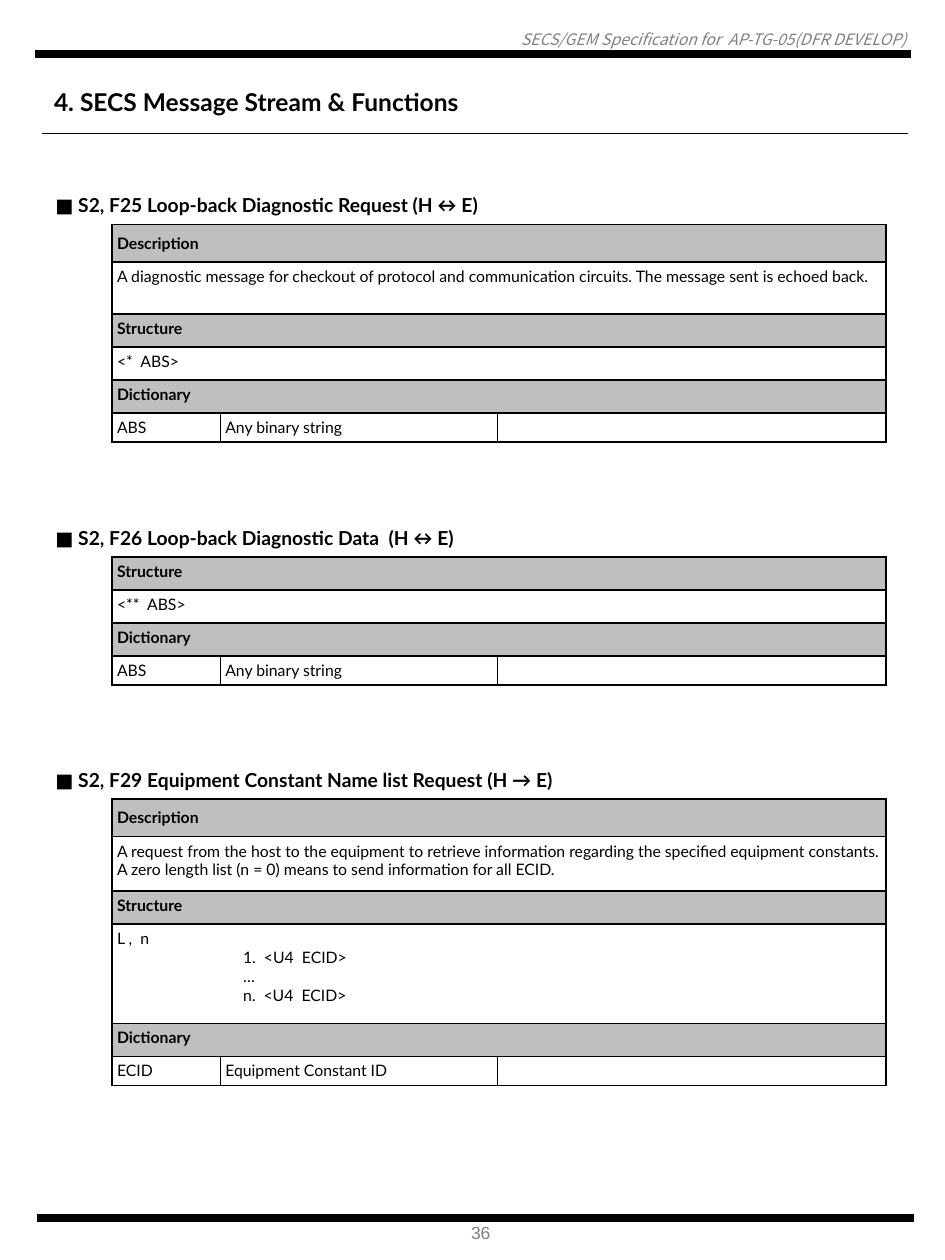
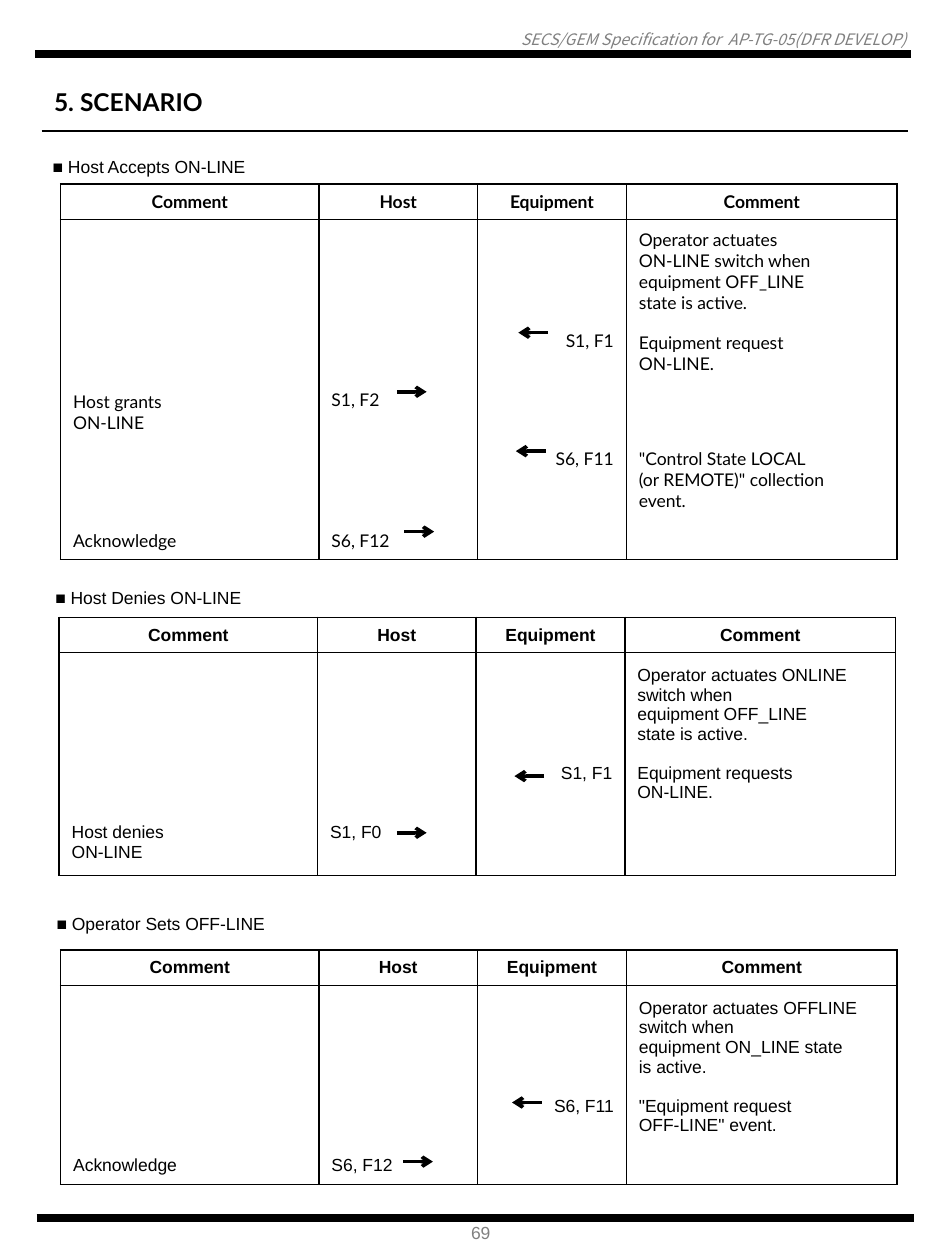
from dataclasses import dataclass

import lxml.etree
import pptx
import pptx.dml.color
import pptx.enum.shapes
import pptx.enum.text
import pptx.oxml.ns
import pptx.util

Pt = pptx.util.Pt
qn = pptx.oxml.ns.qn
ALIGN = pptx.enum.text.PP_ALIGN
ANCHOR = pptx.enum.text.MSO_ANCHOR
SIDES = "LRTB"
MARGINS = ("margin_left", "margin_right", "margin_top", "margin_bottom")


@dataclass(frozen=True)
class Theme:
    # Colours
    black: str = "000000"
    white: str = "FFFFFF"
    grey: str = "808080"
    band: str = "BFBFBF"
    # Fonts
    main: str = "Lato"
    plain: str = "Arial"
    header: str = "Noto Sans CJK KR"
    # Type sizes
    title: float = 14
    heading: float = 11
    body: float = 10
    small: float = 9


def rgb(value):
    return pptx.dml.color.RGBColor.from_string(value)


def set_all(target, values):
    for name, value in values.items():
        setattr(target, name, value)


class Deck:
    def __init__(self, theme):
        self.t = theme
        self.prs = pptx.Presentation()
        self.prs.slide_width, self.prs.slide_height = Pt(540), Pt(720)
        self.s = None

    # Text
    def add_lines(self, tf, text, size, font, color=None, align=ALIGN.LEFT, **style):
        for i, line in enumerate(text.split("\n")):
            p = tf.paragraphs[0] if i == 0 else tf.add_paragraph()
            p.alignment = align
            if "\t" in line:
                tabs = lxml.etree.SubElement(p._p.get_or_add_pPr(), qn("a:tabLst"))
                lxml.etree.SubElement(tabs, qn("a:tab"), pos=str(Pt(72)), algn="l")
            if not line:
                lxml.etree.SubElement(p._p, qn("a:endParaRPr"), sz=str(int(size * 100)))
                continue
            r = p.add_run()
            r.text = line
            set_all(r.font, {"size": Pt(size), "name": font, **style})
            r.font.color.rgb = rgb(color or self.t.black)

    def text(self, x, y, w, h, text, size, font, wrap=True, inset=True, **style):
        tf = self.s.shapes.add_textbox(Pt(x), Pt(y), Pt(w), Pt(h)).text_frame
        set_all(tf, {"word_wrap": wrap,
                     "auto_size": pptx.enum.text.MSO_AUTO_SIZE.SHAPE_TO_FIT_TEXT})
        if not inset:
            set_all(tf, dict.fromkeys(MARGINS, 0))
        self.add_lines(tf, text, size, font, **style)

    # Lines and arrows
    def line(self, x1, x2, y, width, arrow=False):
        kind = pptx.enum.shapes.MSO_CONNECTOR.STRAIGHT
        sp = self.s.shapes.add_connector(kind, Pt(x1), Pt(y), Pt(x2), Pt(y))
        sp.line.width = Pt(width)
        sp.line.color.rgb = rgb(self.t.black)
        if arrow:
            lxml.etree.SubElement(sp.line._ln, qn("a:tailEnd"), type="arrow")
        lxml.etree.SubElement(sp._element.spPr, qn("a:effectLst"))

    def arrow(self, x, y, direction):
        self.line(x, x + 17 * direction, y, 2, arrow=True)

    # Tables
    def table(self, x, y, cols, rows):
        frame = self.s.shapes.add_table(len(rows), len(cols), Pt(x), Pt(y),
                                        Pt(sum(cols)), Pt(sum(rows)))
        table = frame.table
        set_all(table, {"first_row": False, "horz_banding": False})
        for col, width in zip(table.columns, cols):
            col.width = Pt(width)
        for row, height in zip(table.rows, rows):
            row.height = Pt(height)
        return table

    def cell(self, cell, text, size, font, borders, fill=None, inset=None,
             middle=False, **style):
        """Fill one cell; borders maps a side to (colour, width)."""
        cell.vertical_anchor = ANCHOR.MIDDLE if middle else ANCHOR.TOP
        if inset is not None:
            set_all(cell, dict.fromkeys(MARGINS, Pt(inset)))
        if fill:
            cell.fill.solid()
            cell.fill.fore_color.rgb = rgb(fill)
        else:
            cell.fill.background()
        tcPr = cell._tc.get_or_add_tcPr()
        for i, side in enumerate(SIDES):
            color, width = borders.get(side, (None, 0))
            ln = lxml.etree.Element(qn(f"a:ln{side}"), w=str(Pt(width)))
            if color:
                paint = lxml.etree.SubElement(ln, qn("a:solidFill"))
                lxml.etree.SubElement(paint, qn("a:srgbClr"), val=color)
            else:
                lxml.etree.SubElement(ln, qn("a:noFill"))
            tcPr.insert(i, ln)
        self.add_lines(cell.text_frame, text, size, font, **style)

    def message(self, y, heading, sections, entry):
        """Message table: heading, banded sections, then a dictionary entry."""
        t = self.t
        black = dict.fromkeys(SIDES, (t.black, 1))
        white = dict.fromkeys(SIDES, (t.white, 0.75))
        gutter = {**white, "R": (t.black, 1)}
        rows = [(21.6, heading)]
        for name, height, body in sections:
            rows += [(21.6 if name == "Description" else 18.9, name), (height, body)]
        rows += [(18.9, "Dictionary"), (16.6, None)]
        table = self.table(28.8, y, [35.3, 61.9, 158.4, 221.8], [h for h, _ in rows])
        last = len(rows) - 1
        for i, (_, label) in enumerate(rows):
            banded = i % 2 == 1
            texts = [heading, "", "", ""] if i == 0 else ["", label, "", ""]
            if i == last:
                texts = ["", *entry, ""]
            for j, text in enumerate(texts):
                borders = white if i == 0 else gutter if j == 0 else black
                self.cell(table.cell(i, j), text, t.small if i else t.heading, t.main,
                          borders, fill=t.band if banded and j else None, inset=2.8,
                          middle=i == 0 or label == "Description",
                          bold=i == 0 or banded)
            if i < last:
                table.cell(i, 0 if i == 0 else 1).merge(table.cell(i, 3))
        table.cell(last - 1, 0).merge(table.cell(last, 0))

    def scenario(self, x, y, font, body, middle):
        """Scenario table: body rows are a height and four cell texts."""
        t = self.t
        edge = (t.black, 1)
        heads = (20.2, "Comment", "Host", "Equipment", "Comment")
        rows = [heads, *body]
        table = self.table(x, y, [147.6, 90.7, 85, 154.8], [row[0] for row in rows])
        for i, (_, *texts) in enumerate(rows):
            sides = "LR" + "T" * (i < 2) + "B" * (i in (0, len(body)))
            for j, text in enumerate(texts):
                align = (ALIGN.CENTER if i == 0 else
                         ALIGN.RIGHT if j == 2 else ALIGN.LEFT)
                self.cell(table.cell(i, j), text, t.body, font,
                          dict.fromkeys(sides, edge), align=align, bold=i == 0,
                          middle=i == 0 or (i, j) in middle)

    # Page frame shared by every slide
    def page(self, title, title_width, rule_y, number):
        t = self.t
        self.s = self.prs.slides.add_slide(self.prs.slide_layouts[6])
        self.text(3.6, 17.3, 514.1, 10.8,
                  "SECS/GEM Specification for  AP-TG-05(DFR DEVELOP)", t.small, t.header,
                  inset=False, color=t.grey, align=ALIGN.RIGHT, italic=True)
        self.line(20.2, 520.6, 31, 4.75)
        self.line(20.9, 522, 696.2, 4.75)
        self.text(262.1, 694.8, 26.6, 19.4, number, t.body, t.plain,
                  wrap=False, color=t.grey)
        self.text(23.8, 46.1, title_width, 24.5, title, t.title, t.main,
                  wrap=False, bold=True)
        self.line(23.8, 519.1, rule_y, 0.75)

    def caption(self, x, y, text):
        self.text(x, y, 461, 19.4, text, self.t.body, self.t.plain)


def build_messages(d):
    d.page("4. SECS Message Stream & Functions", 277.9, 76.3, "36")
    d.message(106.6, "■ S2, F25 Loop-back Diagnostic Request (H ↔ E)", [
        ("Description", 29.5, "A diagnostic message for checkout of protocol and "
         "communication circuits. The message sent is echoed back."),
        ("Structure", 18.9, "<*  ABS>"),
    ], ("ABS", "Any binary string"))
    d.message(296.6, "■ S2, F26 Loop-back Diagnostic Data  (H ↔ E)", [
        ("Structure", 18.9, "<**  ABS>"),
    ], ("ABS", "Any binary string"))
    d.message(434.9, "■ S2, F29 Equipment Constant Name list Request (H → E)", [
        ("Description", 31, "A request from the host to the equipment to retrieve "
         "information regarding the specified equipment constants. A zero length list "
         "(n = 0) means to send information for all ECID."),
        ("Structure", 56.9, "L ,  n\n\t1.  <U4  ECID>\n\t…\n\tn.  <U4  ECID>"),
    ], ("ECID", "Equipment Constant ID"))


def build_scenarios(d):
    t = d.t
    d.page("5. SCENARIO", 108, 74.9, "69")

    # Host accepts
    d.caption(23, 85.7, "■ Host Accepts ON-LINE")
    d.scenario(34.6, 105.1, t.main, [
        (59.8, "", "", "", "Operator actuates\nON-LINE switch when\n"
         "equipment OFF_LINE\nstate is active."),
        (33.8, "", "", "S1, F1", "Equipment request\nON-LINE."),
        (33.8, "Host grants\nON-LINE", "S1, F2", "", ""),
        (46.8, "", "", "S6, F11",
         '"Control State LOCAL\n(or REMOTE)" collection\nevent.'),
        (20.2, "Acknowledge", "S6, F12", "", ""),
    ], {(1, 3), (2, 3), (3, 0)})

    # Host denies
    d.caption(24.5, 331.9, "■ Host Denies ON-LINE")
    d.scenario(33.8, 352.8, t.plain, [
        (59.8, "", "", "", "Operator actuates ONLINE\nswitch when\n"
         "equipment OFF_LINE\nstate is active."),
        (33.8, "", "", "S1, F1", "Equipment requests\nON-LINE."),
        (33.8, "Host denies\nON-LINE", "S1, F0", "", ""),
    ], {(1, 3)})

    # Operator sets off-line
    d.caption(25.2, 518.4, "■ Operator Sets OFF-LINE")
    d.scenario(34.6, 542.9, t.plain, [
        (59.8, "", "", "", "Operator actuates OFFLINE\nswitch when\n"
         "equipment ON_LINE state\nis active."),
        (33.8, "", "", "S6, F11", '"Equipment request\nOFF-LINE" event.'),
        (20.2, "Acknowledge", "S6, F12", "", ""),
    ], {(1, 3)})

    # Message directions: 1 to the equipment, -1 to the host
    for x, y, direction in [
        (313.2, 190.1, -1), (226.8, 223.9, 1), (311.8, 257.8, -1), (231.1, 303.8, 1),
        (311, 443.5, -1), (226.8, 475.9, 1),
        (309.6, 630, -1), (230.4, 663.8, 1),
    ]:
        d.arrow(x, y, direction)


def main():
    d = Deck(Theme())
    build_messages(d)
    build_scenarios(d)
    d.prs.save("out.pptx")


if __name__ == "__main__":
    main()
